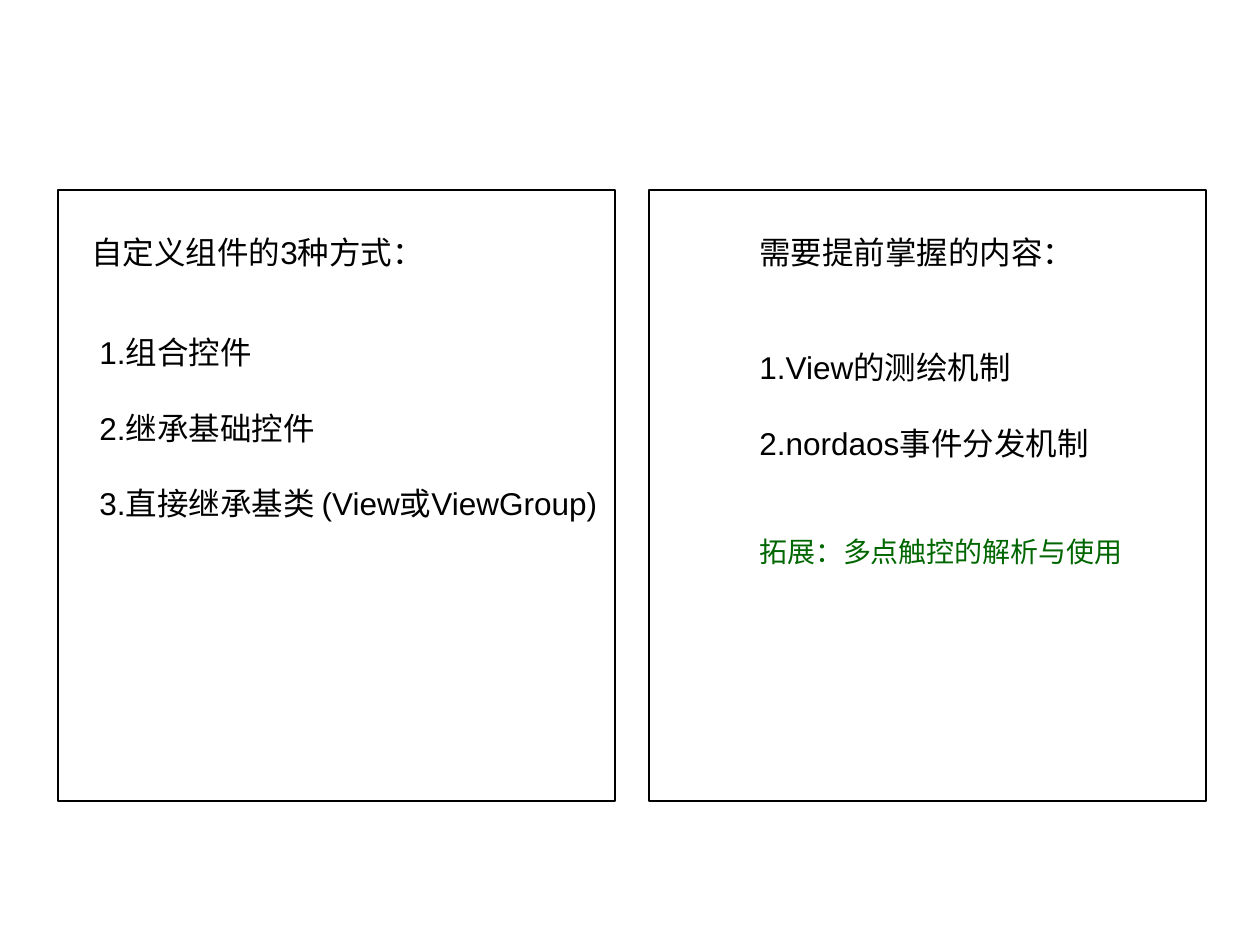
"""Build a slide with two framed lists about custom interface components."""
from pptx import Presentation
from pptx import util as u
from pptx.dml.color import RGBColor
from pptx.enum import shapes, text

BLACK = RGBColor(0x00, 0x00, 0x00)
GREEN = RGBColor(0x00, 0x66, 0x00)
SCALE = 914400 / 126
SIZE = (1260, 945)
GAP = 21.5

FRAMES = [(58, 190, 557, 611), (649, 190, 557, 611)]
NOTES = [
    ((747, 342, 360, 126), ["1.View的测绘机制", "2.nordaos事件分发机制"], 18, BLACK, True),
    ((87, 327, 528, 239), ["1.组合控件", "2.继承基础控件", "3.直接继承基类 (View或ViewGroup)"],
     18, BLACK, True),
    ((79, 227, 373, 50), ["自定义组件的3种方式："], 18, BLACK, False),
    ((747, 227, 340, 50), ["需要提前掌握的内容："], 18, BLACK, False),
    ((747, 528, 388, 47), ["拓展：多点触控的解析与使用"], 16, GREEN, False),
]


def emu(box):
    return [u.Emu(round(px * SCALE)) for px in box]


def add_frame(slide, box):
    frame = slide.shapes.add_shape(shapes.MSO_SHAPE.RECTANGLE, *emu(box))
    frame.shadow.inherit = False
    frame.fill.background()
    frame.line.color.rgb = BLACK
    frame.line.width = u.Pt(0.75)


def add_note(slide, box, lines, size, color, wrap):
    body = slide.shapes.add_textbox(*emu(box)).text_frame
    body.word_wrap = wrap
    body.auto_size = text.MSO_AUTO_SIZE.SHAPE_TO_FIT_TEXT
    body.text = "\n".join(lines)
    for index, para in enumerate(body.paragraphs):
        para.space_before = u.Pt(GAP if index else 0)
        for run in para.runs:
            run.font.name = "Arial"
            run.font.size = u.Pt(size)
            run.font.color.rgb = color


def main():
    deck = Presentation()
    deck.slide_width, deck.slide_height = emu(SIZE)
    slide = deck.slides.add_slide(deck.slide_layouts.get_by_name("Blank"))
    for box in FRAMES:
        add_frame(slide, box)
    for note in NOTES:
        add_note(slide, *note)
    deck.save("out.pptx")


if __name__ == "__main__":
    main()
